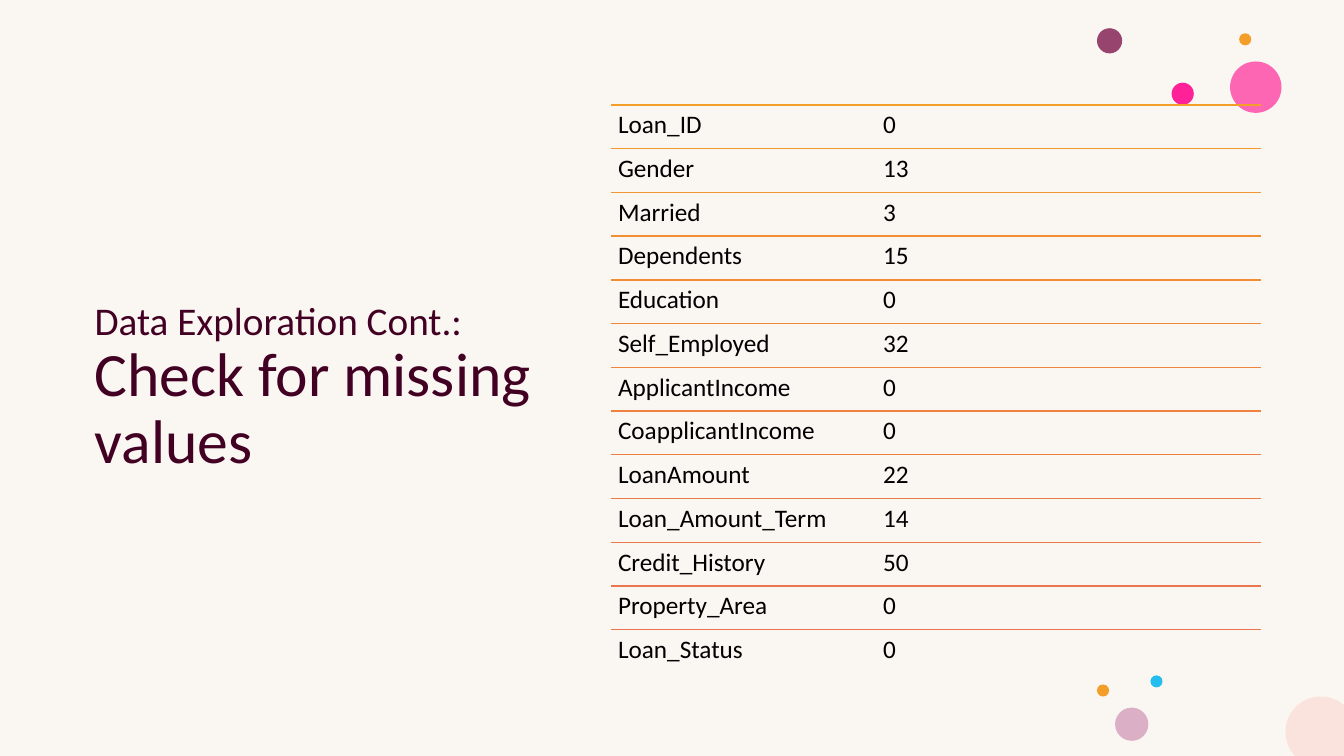
from math import cos, radians, sin

from lxml import etree
from pptx import Presentation
from pptx.dml.color import RGBColor
from pptx.enum.shapes import MSO_CONNECTOR, MSO_SHAPE
from pptx.enum.text import MSO_ANCHOR
from pptx.oxml.ns import qn
from pptx.util import Inches, Pt

STRAIGHT = MSO_CONNECTOR.STRAIGHT
OVAL = MSO_SHAPE.OVAL
MIDDLE = MSO_ANCHOR.MIDDLE

BACKGROUND = "FAF6F2"
TITLE = [("Data Exploration Cont.:", 28), ("Check for missing values", 44)]
TITLE_COLOR = "420023"
MISSING_VALUES = [
    ("Loan_ID", 0, "F39E29"),
    ("Gender", 13, "F2992C"),
    ("Married", 3, "F19530"),
    ("Dependents", 15, "F09033"),
    ("Education", 0, "EF8C36"),
    ("Self_Employed", 32, "EE883A"),
    ("ApplicantIncome", 0, "ED853D"),
    ("CoapplicantIncome", 0, "EC8140"),
    ("LoanAmount", 22, "EB7E43"),
    ("Loan_Amount_Term", 14, "EA7B47"),
    ("Credit_History", 50, "EA794A"),
    ("Property_Area", 0, "E9764D"),
    ("Loan_Status", 0, "E87450"),
]
DOTS = [
    (10.88, 0.28, 0.25, "97446E", 100),
    (12.2, 0.61, 0.51, "FF2F9C", 72),
    (12.29, 0.33, 0.12, "F39E29", 100),
    (11.62, 0.82, 0.22, "FF2197", 100),
    (11.41, 6.7, 0.12, "24BEEE", 100),
    (11.06, 7.02, 0.33, "DBAFC5", 100),
    (10.88, 6.79, 0.12, "F39E29", 100),
]
CORNER = {"x": 13.1, "y": 7.26, "radius": 0.35, "color": "FAE3DC"}
SLIDE_WIDTH, SLIDE_HEIGHT = 13.33, 7.5
LIST_LEFT, LIST_TOP, LIST_WIDTH, ROW_HEIGHT = 6.06, 1.04, 6.45, 0.434
VALUE_TAB = 2.63


def rgb(color):
    """Return the colour for a hex string."""
    return RGBColor.from_string(color)


def set_format(target, values):
    """Set each attribute of the target from a dict."""
    for name, value in values.items():
        setattr(target, name, value)


def paint(shape, color, opacity=100):
    """Give a shape a plain fill without line or shadow."""
    shape.shadow.inherit = False
    shape.line.fill.background()
    shape.fill.solid()
    shape.fill.fore_color.rgb = rgb(color)
    if opacity < 100:
        fill_color = shape.fill._xPr.find(qn("a:solidFill"))[0]
        etree.SubElement(fill_color, qn("a:alpha"), val=str(opacity * 1000))


def add_run(paragraph, text, size, color):
    """Add a formatted run to a paragraph."""
    run = paragraph.add_run()
    run.text = text
    set_format(run.font, {"name": "Calibri", "size": Pt(size)})
    run.font.color.rgb = rgb(color)


def add_text_box(slide, box, frame_format):
    """Add a wrapping text box and return its first paragraph."""
    frame = slide.shapes.add_textbox(*map(Inches, box)).text_frame
    set_format(frame, {"word_wrap": True, **frame_format})
    paragraph = frame.paragraphs[0]
    paragraph.line_spacing = 0.9
    return paragraph


def add_title(slide):
    """Add the two-size title."""
    box = (0.84, 1.04, 5.04, 5.64)
    paragraph = add_text_box(slide, box, {"vertical_anchor": MIDDLE})
    for index, (text, size) in enumerate(TITLE):
        if index:
            paragraph.add_line_break()
        add_run(paragraph, text, size, TITLE_COLOR)


def add_corner(slide):
    """Add the disc cut off by the lower right slide corner."""
    points = []
    for angle in range(-48, -227, -2):
        x = CORNER["x"] + CORNER["radius"] * cos(radians(angle))
        y = CORNER["y"] + CORNER["radius"] * sin(radians(angle))
        points.append((Inches(x), Inches(min(y, SLIDE_HEIGHT))))
    points.append((Inches(SLIDE_WIDTH), Inches(SLIDE_HEIGHT)))
    points.append((Inches(SLIDE_WIDTH), points[0][1]))
    builder = slide.shapes.build_freeform(*points[0])
    builder.add_line_segments(points[1:], close=True)
    paint(builder.convert_to_shape(), CORNER["color"])


def add_row(slide, top, field, count, color):
    """Add a rule with a field name and its missing count below."""
    ends = (LIST_LEFT, top, LIST_LEFT + LIST_WIDTH, top)
    rule = slide.shapes.add_connector(STRAIGHT, *map(Inches, ends))
    rule.line.width = Pt(1)
    rule.line.color.rgb = rgb(color)
    etree.SubElement(rule._element.spPr, qn("a:effectLst"))

    sides = ("left", "top", "right", "bottom")
    margins = {f"margin_{side}": Inches(0.07) for side in sides}
    box = (LIST_LEFT, top, LIST_WIDTH, ROW_HEIGHT)
    paragraph = add_text_box(slide, box, margins)
    tabs = etree.SubElement(paragraph._p.get_or_add_pPr(), qn("a:tabLst"))
    etree.SubElement(tabs, qn("a:tab"), pos=str(Inches(VALUE_TAB)), algn="l")
    add_run(paragraph, f"{field}\t{count}", 18, "000000")


def main():
    """Build and save the slide."""
    presentation = Presentation()
    size = {"slide_width": Inches(SLIDE_WIDTH), "slide_height": Inches(SLIDE_HEIGHT)}
    set_format(presentation, size)
    slide = presentation.slides.add_slide(presentation.slide_layouts[6])
    slide.background.fill.solid()
    slide.background.fill.fore_color.rgb = rgb(BACKGROUND)

    add_title(slide)
    for left, top, diameter, color, opacity in DOTS:
        box = (left, top, diameter, diameter)
        paint(slide.shapes.add_shape(OVAL, *map(Inches, box)), color, opacity)
    add_corner(slide)
    for index, row in enumerate(MISSING_VALUES):
        add_row(slide, LIST_TOP + index * ROW_HEIGHT, *row)

    presentation.save("out.pptx")


if __name__ == "__main__":
    main()
